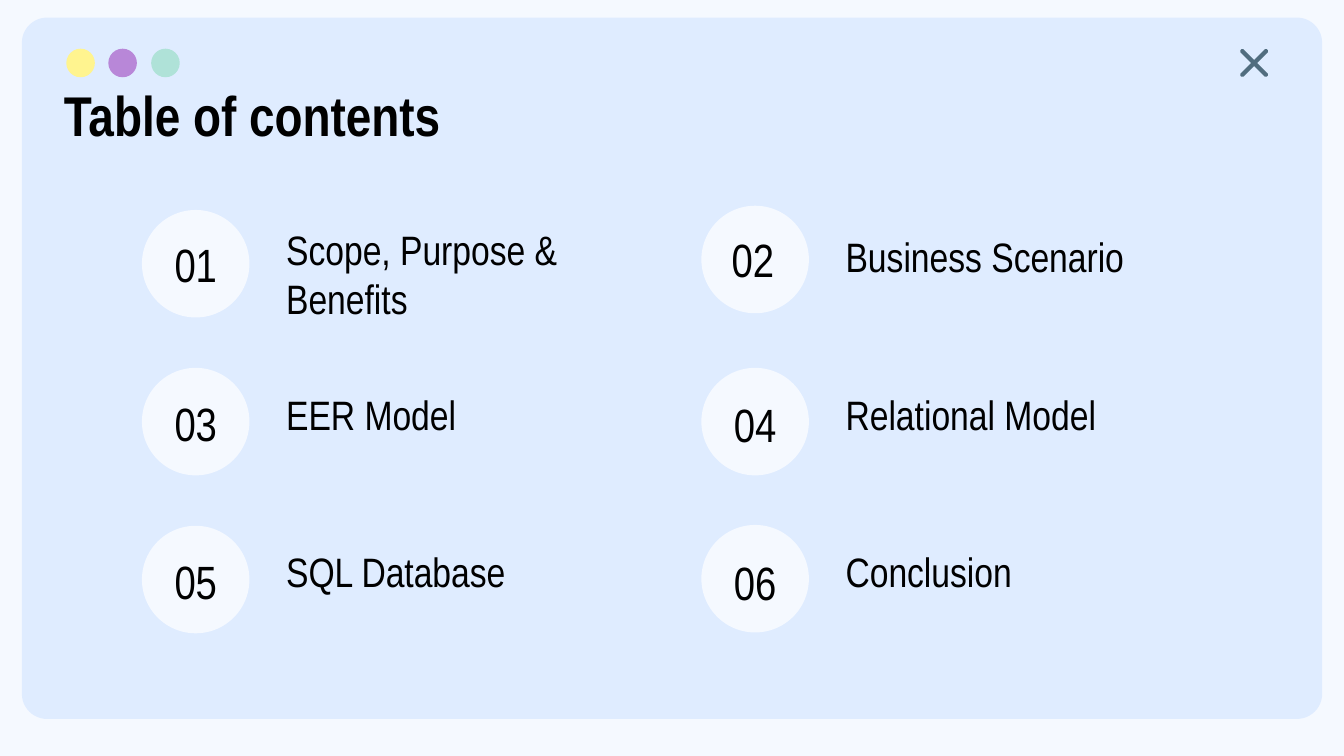
from collections import namedtuple

from pptx import Presentation
from pptx.dml.color import RGBColor
from pptx.enum.shapes import MSO_SHAPE as Shape
from pptx.enum.text import MSO_ANCHOR as Anchor, MSO_AUTO_SIZE as AutoSize, PP_ALIGN as Align
from pptx.util import Pt

EMU_PER_PX = 5715  # 160 px to the inch
FONT = "Arial Narrow"
COLORS = {
    "page": "F5F9FF",
    "window": "DFECFF",
    "yellow": "FFF48F",
    "purple": "B887D8",
    "mint": "AFE2D8",
    "cross": "516D7F",
    "text": "000000",
}

COLUMNS = (169, 835)
CIRCLE = 128
INSET = 16

Entry = namedtuple("Entry", "label circle_top number_top number_height label_top number_inset",
                   defaults=(INSET,))
ENTRIES = (
    Entry("Scope, Purpose & Benefits", 250, 269, 90, 328),
    Entry("Business Scenario", 245, 263, 90, 278, 10),
    Entry("EER Model", 438, 458, 90, 466),
    Entry("Relational Model", 438, 462, 85, 466),
    Entry("SQL Database", 626, 646, 90, 653),
    Entry("Conclusion", 625, 650, 85, 653),
)


def px(length):
    return length * EMU_PER_PX


def color(name):
    return RGBColor.from_string(COLORS[name])


def add_shape(page, kind, left, top, width, height, fill):
    shape = page.shapes.add_shape(kind, px(left), px(top), px(width), px(height))
    shape.shadow.inherit = False
    shape.fill.solid()
    shape.fill.fore_color.rgb = color(fill)
    shape.line.fill.background()
    return shape


def write(box, text, size, align=Align.LEFT, anchor=Anchor.TOP, left_inset=INSET, bold=False):
    frame = box.text_frame
    frame.word_wrap = True
    frame.auto_size = AutoSize.NONE
    frame.vertical_anchor = anchor
    frame.margin_left = px(left_inset)
    frame.margin_top = frame.margin_right = frame.margin_bottom = px(INSET)
    para = frame.paragraphs[0]
    para.alignment = align
    span = para.add_run()
    span.text = text
    span.font.name = FONT
    span.font.size = Pt(size)
    span.font.bold = bold
    span.font.color.rgb = color("text")


def add_text(page, left, top, width, height, text, size, **style):
    box = page.shapes.add_textbox(px(left), px(top), px(width), px(height))
    write(box, text, size, **style)


def add_window(page):
    """Draw the panel with its three dots and the closing cross."""
    panel = add_shape(page, Shape.ROUNDED_RECTANGLE, 26, 21, 1548, 835, "window")
    panel.adjustments[0] = 0.036
    for left, fill in zip((79, 129, 180), ("yellow", "purple", "mint")):
        add_shape(page, Shape.OVAL, left, 58, 34, 34, fill)
    cross = add_shape(page, Shape.MATH_MULTIPLY, 1465, 47, 56, 56, "cross")
    cross.adjustments[0] = 0.031
    cross.line.color.rgb = color("cross")
    cross.line.width = Pt(1.5)


def set_title(page, text):
    title = page.shapes.title
    title.left, title.top, title.width, title.height = map(px, (60, 80, 1349, 101))
    write(title, text, 30, bold=True)
    # Bring the title in front of the window.
    page.shapes._spTree.append(title._element)


def add_entry(page, number, left, entry):
    add_shape(page, Shape.OVAL, left, entry.circle_top, CIRCLE, CIRCLE, "page")
    add_text(page, left - 5, entry.number_top, CIRCLE + 10, entry.number_height, f"{number:02}", 25,
             align=Align.CENTER, anchor=Anchor.MIDDLE, left_inset=entry.number_inset)
    add_text(page, left + 156, entry.label_top, 432, 72, entry.label, 22, anchor=Anchor.BOTTOM)


def main():
    deck = Presentation()
    deck.slide_width, deck.slide_height = px(1600), px(900)
    page = deck.slides.add_slide(deck.slide_layouts[5])
    page.background.fill.solid()
    page.background.fill.fore_color.rgb = color("page")
    add_window(page)
    set_title(page, "Table of contents")
    for index, entry in enumerate(ENTRIES):
        add_entry(page, index + 1, COLUMNS[index % 2], entry)
    deck.save("out.pptx")


if __name__ == "__main__":
    main()
